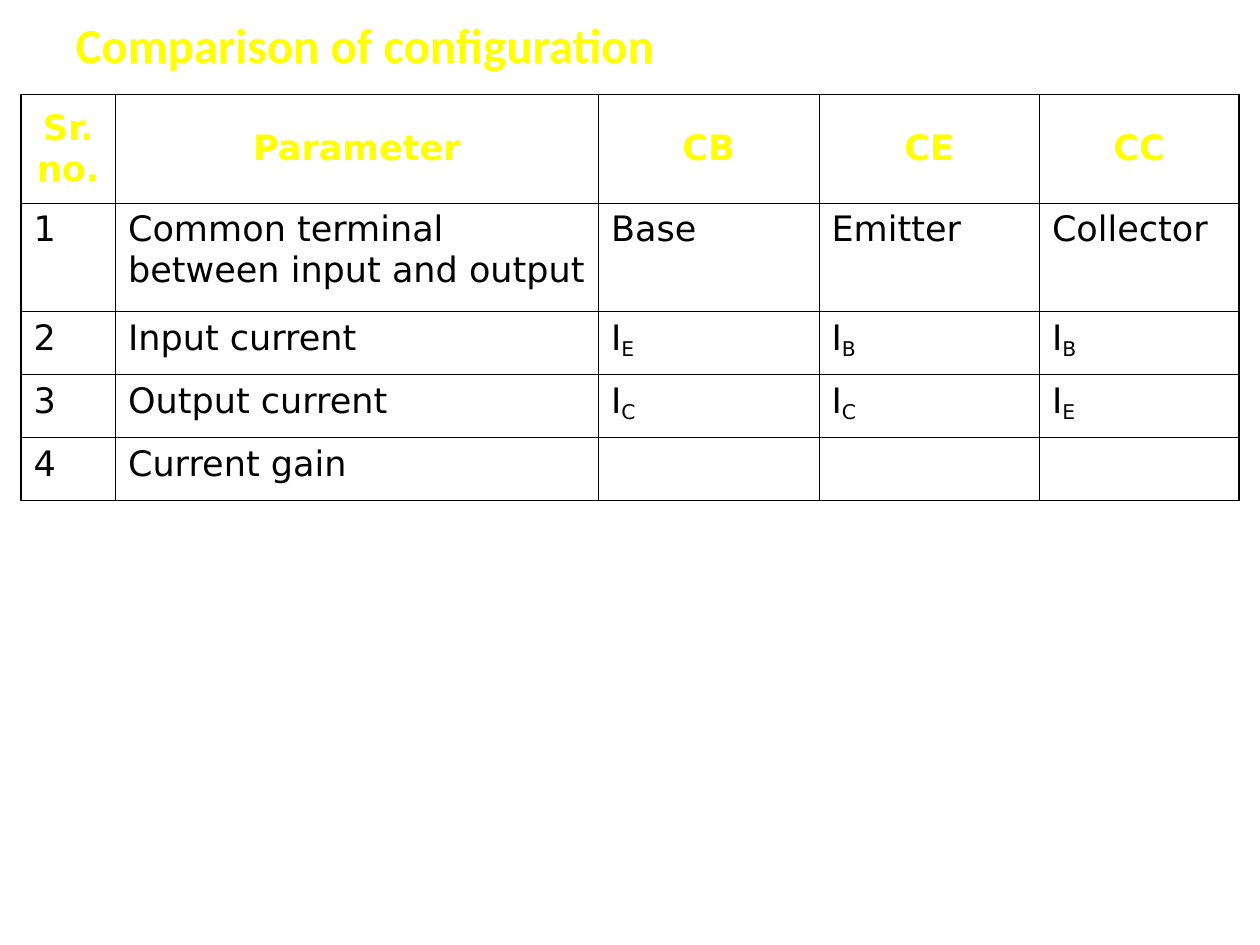
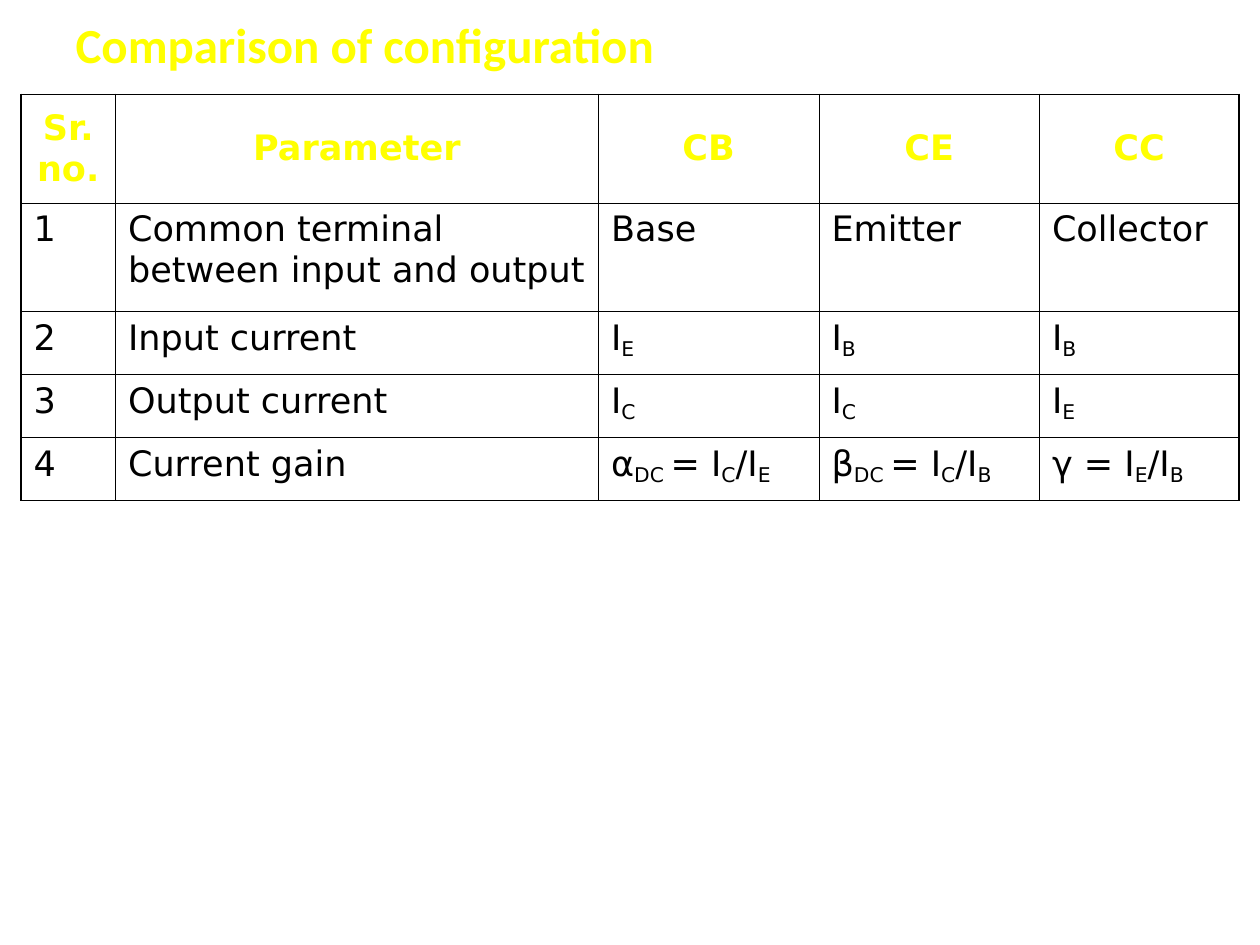
from lxml.etree import SubElement
from pptx import Presentation
from pptx.dml.color import RGBColor
from pptx.enum.text import MSO_ANCHOR, MSO_AUTO_SIZE, PP_ALIGN
from pptx.oxml.ns import qn
from pptx.util import Pt

COLOURS = {"heading": "FFFF00", "text": "000000", "border": "000000"}
COLUMN_WIDTHS = [54, 276, 126, 126, 114]
ROW_HEIGHTS = [62, 62, 36, 36, 36]
OUTER_BORDER, INNER_BORDER = 1.08, 0.45

# Parts between bars alternate between normal and subscript text.
SHARED_ROWS = [
    ["Sr.no.", "Parameter", "CB", "CE", "CC"],
    ["1", "Common terminal between input and output", "Base", "Emitter", "Collector"],
    ["2", "Input current", "I|E", "I|B", "I|B"],
    ["3", "Output current", "I|C", "I|C", "I|E"],
]
CURRENT_GAINS = [
    ["", "", ""],
    ["α|DC |= I|C|/I|E", "β|DC |= I|C|/I|B", "γ = I|E|/I|B"],
]


def style_font(font, name, size, colour, bold):
    font.name = name
    font.size = Pt(size)
    font.bold = bold
    font.color.rgb = RGBColor.from_string(COLOURS[colour])


def add_border(cell, side, width):
    line = SubElement(cell._tc.get_or_add_tcPr(), qn(f"a:ln{side}"), w=str(Pt(width)))
    fill = SubElement(line, qn("a:solidFill"))
    SubElement(fill, qn("a:srgbClr"), val=COLOURS["border"])


presentation = Presentation()
presentation.slide_width = Pt(720)
presentation.slide_height = Pt(540)

for gains in CURRENT_GAINS:
    slide = presentation.slides.add_slide(presentation.slide_layouts[5])
    title = slide.shapes.title
    title.left, title.top, title.width, title.height = Pt(36), Pt(6), Pt(648), Pt(38)
    title.text_frame.text = "Comparison of configuration"
    title.text_frame.auto_size = MSO_AUTO_SIZE.NONE
    title.text_frame.vertical_anchor = MSO_ANCHOR.MIDDLE
    paragraph = title.text_frame.paragraphs[0]
    paragraph.alignment = PP_ALIGN.LEFT
    style_font(paragraph.font, "Calibri", 28, "heading", True)

    rows = SHARED_ROWS + [["4", "Current gain"] + gains]
    last_row, last_column = len(rows) - 1, len(COLUMN_WIDTHS) - 1
    table = slide.shapes.add_table(
        len(rows), len(COLUMN_WIDTHS), Pt(12), Pt(54),
        Pt(sum(COLUMN_WIDTHS)), Pt(sum(ROW_HEIGHTS)),
    ).table
    table.first_row = False
    table.horz_banding = False
    for column, width in zip(table.columns, COLUMN_WIDTHS):
        column.width = Pt(width)
    for row, height in zip(table.rows, ROW_HEIGHTS):
        row.height = Pt(height)

    for row_index, row_texts in enumerate(rows):
        is_header = row_index == 0
        for column_index, text in enumerate(row_texts):
            cell = table.cell(row_index, column_index)
            outer_sides = {
                "L": column_index == 0,
                "R": column_index == last_column,
                "T": is_header,
                "B": row_index == last_row,
            }
            for side, is_outer in outer_sides.items():
                add_border(cell, side, OUTER_BORDER if is_outer else INNER_BORDER)
            cell.fill.background()
            cell.vertical_anchor = MSO_ANCHOR.MIDDLE if is_header else MSO_ANCHOR.TOP

            paragraph = cell.text_frame.paragraphs[0]
            paragraph.alignment = PP_ALIGN.CENTER if is_header else PP_ALIGN.LEFT
            style_font(paragraph.font, "DejaVu Sans", 20,
                       "heading" if is_header else "text", is_header)
            if not text:
                continue
            for part_index, part in enumerate(text.split("|")):
                run = paragraph.add_run()
                run.text = part
                if part_index % 2:
                    run._r.get_or_add_rPr().set("baseline", "-18000")

presentation.save("out.pptx")
